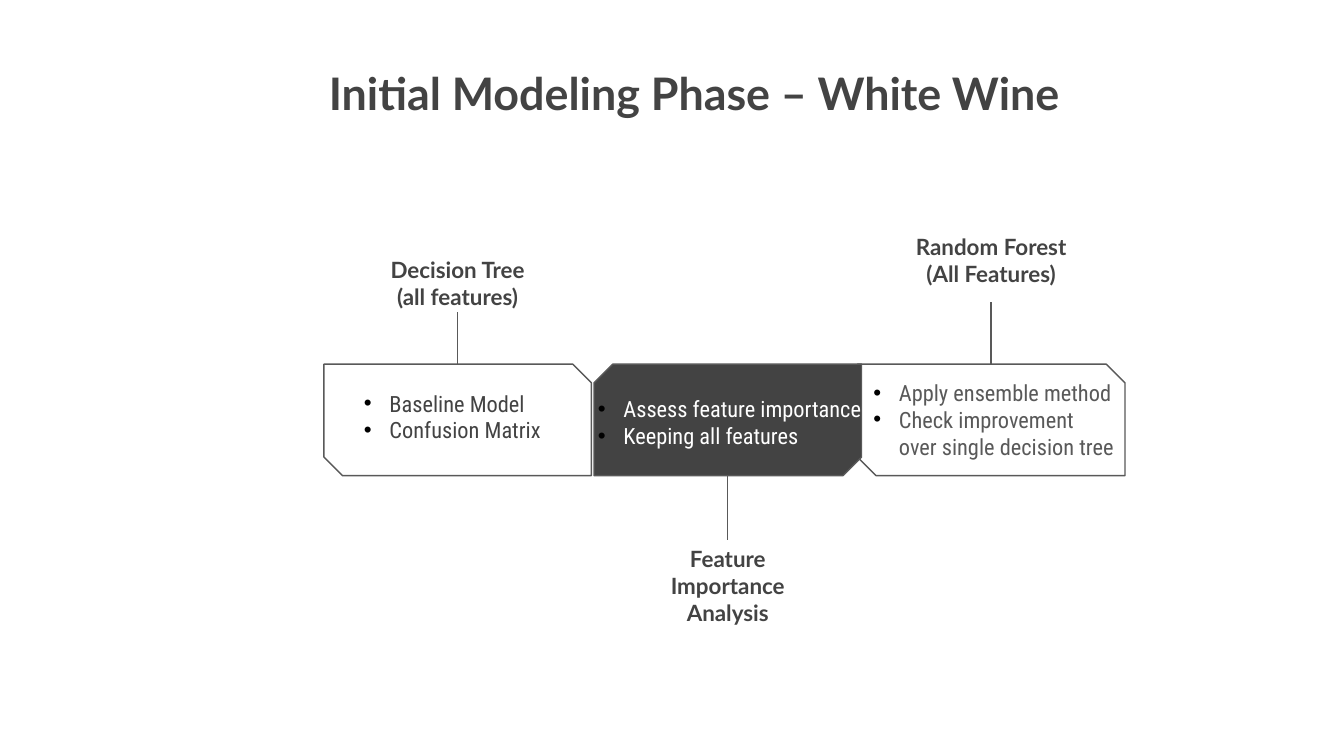
import dataclasses
import typing

import pptx
import pptx.dml.color
import pptx.enum.shapes
import pptx.enum.text
import pptx.oxml
import pptx.oxml.ns
import pptx.util

Inches = pptx.util.Inches
Pt = pptx.util.Pt
Align = pptx.enum.text.PP_ALIGN
Anchor = pptx.enum.text.MSO_ANCHOR
Box = typing.Tuple[float, float, float, float]

COLORS = {"dark": "434343", "line": "595959", "white": "FFFFFF", "dot": "000000"}
NS = pptx.oxml.ns.nsdecls("a")
TOP, HIGH, WIDE = 2.71, 0.83, 1.99
SNIP = 0.167


@dataclasses.dataclass
class Text:
    box: Box
    lines: typing.Tuple[str, ...]
    color: str = "dark"
    face: str = "Lato"
    size: int = 12
    bold: bool = True
    dots: bool = False
    anchor: typing.Any = Anchor.MIDDLE
    base: float = 0.1


@dataclasses.dataclass
class Step:
    left: float
    label: Text
    notes: Text
    dark: bool = False
    below: bool = False


def notes(box: Box, color: str, *lines: str, base: float = 0.1) -> Text:
    return Text(box, lines, color, "Roboto Condensed", bold=False, dots=True, base=base)


def tint(name: str) -> pptx.dml.color.RGBColor:
    return pptx.dml.color.RGBColor.from_string(COLORS[name])


def add_dot(para: typing.Any) -> None:
    props = para._p.get_or_add_pPr()
    props.set("marL", str(Inches(0.19)))
    props.set("indent", str(Inches(-0.19)))
    for xml in (
        f'<a:buClr {NS}><a:srgbClr val="{COLORS["dot"]}"/></a:buClr>',
        f'<a:buFont {NS} typeface="Arial"/>',
        f'<a:buChar {NS} char="•"/>',
    ):
        props.append(pptx.oxml.parse_xml(xml))


def add_text(slide: typing.Any, item: Text) -> typing.Any:
    shape = slide.shapes.add_textbox(*map(Inches, item.box))
    frame = shape.text_frame
    form = {
        "word_wrap": True,
        "vertical_anchor": item.anchor,
        "margin_left": Inches(0.1),
        "margin_right": Inches(0.1),
        "margin_top": Inches(0.1),
        "margin_bottom": Inches(item.base),
    }
    for key, value in form.items():
        setattr(frame, key, value)
    frame.text = "\n".join(item.lines)
    style = {"name": item.face, "size": Pt(item.size), "bold": item.bold}
    for para in frame.paragraphs:
        para.alignment = Align.LEFT if item.dots else Align.CENTER
        if item.dots:
            add_dot(para)
        for run in para.runs:
            for key, value in style.items():
                setattr(run.font, key, value)
            run.font.color.rgb = tint(item.color)
    return shape


def add_panel(slide: typing.Any, step: Step) -> None:
    kind = pptx.enum.shapes.MSO_SHAPE.SNIP_2_DIAG_RECTANGLE
    panel = slide.shapes.add_shape(kind, *map(Inches, (step.left, TOP, WIDE, HIGH)))
    panel.shadow.inherit = False
    cuts = (SNIP, 0) if step.dark else (0, SNIP)
    for index, cut in enumerate(cuts):
        panel.adjustments[index] = cut
    if step.dark:
        panel.fill.solid()
        panel.fill.fore_color.rgb = tint("dark")
    else:
        panel.fill.background()
    panel.line.color.rgb = tint("line")
    panel.line.width = Pt(0.75)


def add_stem(slide: typing.Any, step: Step, label: typing.Any) -> None:
    mid = Inches(step.left + WIDE / 2)
    edge = Inches(TOP + HIGH if step.below else TOP)
    kind = pptx.enum.shapes.MSO_CONNECTOR.STRAIGHT
    stem = slide.shapes.add_connector(kind, mid, edge, mid, edge)
    stem.end_connect(label, 0 if step.below else 2)
    stem.line.color.rgb = tint("line")
    stem.line.width = Pt(0.75)
    stem._element.spPr.append(pptx.oxml.parse_xml(f"<a:effectLst {NS}/>"))


TITLE = Text((2.15, 0.39, 6.03, 1.03), ("Initial Modeling Phase – White Wine",),
             size=24, anchor=Anchor.TOP)
STEPS = (
    Step(6.38,
         Text((6.68, 1.82, 1.39, 0.43), ("Random Forest (All Features)",), base=0.3),
         notes((6.4, 2.79, 1.99, 0.66), "line", "Apply ensemble method",
               "Check improvement over single decision tree")),
    Step(2.41,
         Text((2.71, 1.89, 1.39, 0.43), ("Decision Tree (all features)",)),
         notes((2.61, 2.87, 1.53, 0.66), "dark", "Baseline Model",
               "Confusion Matrix", base=0.3)),
    Step(4.42,
         Text((4.72, 4.02, 1.39, 0.67), ("Feature Importance Analysis",)),
         notes((4.35, 2.81, 2.28, 0.66), "white", "Assess feature importance",
               "Keeping all features"),
         dark=True, below=True),
)


def main() -> None:
    deck = pptx.Presentation()
    deck.slide_width = Inches(10)
    deck.slide_height = Inches(10 * 9 / 16)
    slide = deck.slides.add_slide(deck.slide_layouts[6])
    for step in STEPS:
        add_panel(slide, step)
    add_text(slide, TITLE)
    for step in STEPS:
        add_text(slide, step.notes)
        add_stem(slide, step, add_text(slide, step.label))
    deck.save("out.pptx")


if __name__ == "__main__":
    main()
